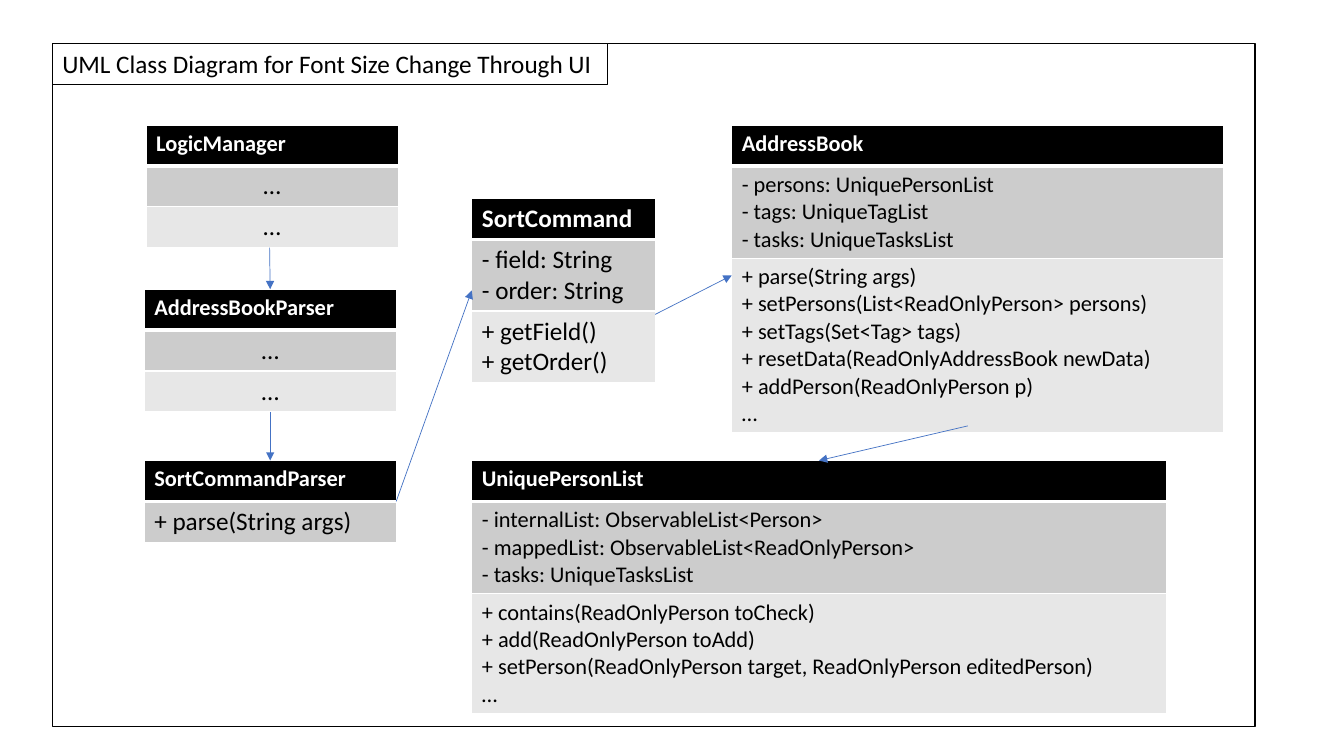
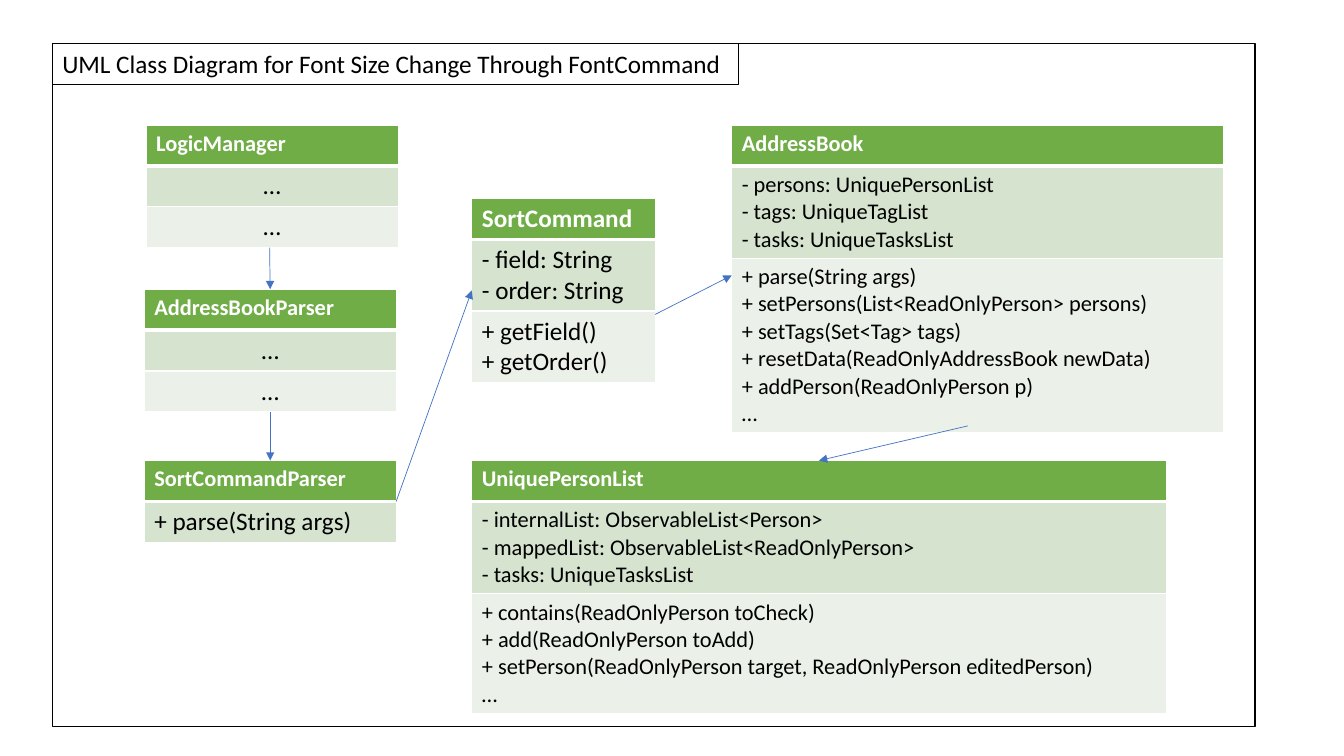
from collections import namedtuple

from lxml.etree import SubElement
from pptx import Presentation
from pptx.dml.color import RGBColor
from pptx.enum.shapes import MSO_CONNECTOR, MSO_SHAPE
from pptx.enum.text import MSO_AUTO_SIZE, PP_ALIGN
from pptx.oxml.ns import qn
from pptx.util import Pt

COLORS = {"white": "FFFFFF", "black": "000000", "arrow": "4472C4"}
GRAY = {"header": "000000", "fields": "CCCCCC", "methods": "E7E7E7"}
GREEN = {"header": "70AD47", "fields": "D5E3CF", "methods": "EBF1E9"}
FONT = "Calibri"
ROW_HEIGHT = 29.2
ELLIPSIS = ["…"]

Box = namedtuple("Box", "x y w h")
UmlClass = namedtuple("UmlClass", "x y w header_size body_size sections")
FRAME = Box(37.4, 31, 859, 488)

# Class positions are relative to the frame
CLASSES = {
    "SortCommand": UmlClass(299.6, 110.8, 131, 18, 18, [
        ["- field: String", "- order: String"],
        ["+ getField()", "+ getOrder()"]]),
    "SortCommandParser": UmlClass(65.6, 298, 180, 16, 18, [
        ["+ parse(String args)"]]),
    "AddressBook": UmlClass(485.3, 58.3, 351.4, 16, 16, [
        ["- persons: UniquePersonList", "- tags: UniqueTagList",
         "- tasks: UniqueTasksList"],
        ["+ parse(String args)", "+ setPersons(List<ReadOnlyPerson> persons)",
         "+ setTags(Set<Tag> tags)",
         "+ resetData(ReadOnlyAddressBook newData)",
         "+ addPerson(ReadOnlyPerson p)", "…"]]),
    "UniquePersonList": UmlClass(299.6, 298, 496, 16, 16, [
        ["- internalList: ObservableList<Person>",
         "- mappedList: ObservableList<ReadOnlyPerson>",
         "- tasks: UniqueTasksList"],
        ["+ contains(ReadOnlyPerson toCheck)", "+ add(ReadOnlyPerson toAdd)",
         "+ setPerson(ReadOnlyPerson target, ReadOnlyPerson editedPerson)",
         "…"]]),
    "AddressBookParser": UmlClass(65.6, 175.6, 180, 16, 18,
                                  [ELLIPSIS, ELLIPSIS]),
    "LogicManager": UmlClass(67, 58.3, 180, 16, 18, [ELLIPSIS, ELLIPSIS]),
}

# Each end: class, then the fraction across and down its box
ARROWS = [
    (("LogicManager", 0.49, 1), ("AddressBookParser", 0.5, 0)),
    (("AddressBookParser", 0.5, 1), ("SortCommandParser", 0.5, 0)),
    (("SortCommandParser", 1, 0.5), ("SortCommand", 0, 0.5)),
    (("SortCommand", 1, 0.63), ("AddressBook", 0, 0.49)),
    (("AddressBook", 0.48, 0.98), ("UniquePersonList", 0.5, 0)),
]


def rgb(color):
    return RGBColor.from_string(color)


def add_text(p, text, size, color, bold=False):
    r = p.add_run()
    r.text = text
    r.font.name = FONT
    r.font.size = Pt(size)
    r.font.bold = bold
    r.font.color.rgb = rgb(color)


def style_box(sp):
    sp.fill.solid()
    sp.fill.fore_color.rgb = rgb(COLORS["white"])
    sp.line.color.rgb = rgb(COLORS["black"])
    sp.line.width = Pt(1)


def add_borders(cell, top, bottom):
    tc_pr = cell._tc.get_or_add_tcPr()
    for side, width in zip("LRTB", (1, 1, top, bottom)):
        ln = SubElement(tc_pr, qn(f"a:ln{side}"), w=str(Pt(width)))
        fill = SubElement(ln, qn("a:solidFill"))
        SubElement(fill, qn("a:srgbClr"), val=COLORS["white"])


def add_frame(s, box):
    sp = s.shapes.add_shape(MSO_SHAPE.RECTANGLE, *map(Pt, box))
    sp.shadow.inherit = False
    style_box(sp)


def add_title(s, box, title, width):
    sp = s.shapes.add_textbox(Pt(box.x), Pt(box.y), Pt(width), Pt(ROW_HEIGHT))
    style_box(sp)
    tf = sp.text_frame
    tf.word_wrap = False
    tf.auto_size = MSO_AUTO_SIZE.SHAPE_TO_FIT_TEXT
    add_text(tf.paragraphs[0], title, 18, COLORS["black"])


def add_class(s, frame, name, uml, theme):
    """Draw one class table and return the box it fills."""
    rows = [[name], *uml.sections]
    sizes = [uml.header_size] + [uml.body_size] * len(uml.sections)
    heights = [max(ROW_HEIGHT, len(lines) * size * 1.22 + 7.2)
               for lines, size in zip(rows, sizes)]
    box = Box(frame.x + uml.x, frame.y + uml.y, uml.w, sum(heights))
    table = s.shapes.add_table(len(rows), 1, *map(Pt, box)).table
    table.first_row = table.horz_banding = False

    for i, (lines, size, fill) in enumerate(zip(rows, sizes, theme.values())):
        table.rows[i].height = Pt(heights[i])
        cell = table.cell(i, 0)
        add_borders(cell, 3 if i == 1 else 1, 3 if i == 0 else 1)
        cell.fill.solid()
        cell.fill.fore_color.rgb = rgb(fill)
        tf = cell.text_frame
        for j, line in enumerate(lines):
            p = tf.add_paragraph() if j else tf.paragraphs[0]
            p.alignment = (PP_ALIGN.CENTER if lines == ELLIPSIS
                           else PP_ALIGN.JUSTIFY)
            add_text(p, line, size, COLORS["black" if i else "white"], i == 0)
    return box


def add_arrow(s, boxes, start, end):
    points = []
    for name, across, down in (start, end):
        box = boxes[name]
        points += [Pt(box.x + across * box.w), Pt(box.y + down * box.h)]
    line = s.shapes.add_connector(MSO_CONNECTOR.STRAIGHT, *points)
    line.line.color.rgb = rgb(COLORS["arrow"])
    line.line.width = Pt(0.5)
    SubElement(line.line._get_or_add_ln(), qn("a:tailEnd"), type="triangle")
    SubElement(line._element.spPr, qn("a:effectLst"))


def add_diagram_slide(prs, title, title_width, theme):
    s = prs.slides.add_slide(prs.slide_layouts[6])
    add_frame(s, FRAME)
    # Classes and the arrows between them
    boxes = {name: add_class(s, FRAME, name, uml, theme)
             for name, uml in CLASSES.items()}
    for start, end in ARROWS:
        add_arrow(s, boxes, start, end)
    add_title(s, FRAME, title, title_width)


prs = Presentation()
prs.slide_width, prs.slide_height = Pt(960), Pt(540)
add_diagram_slide(
    prs, "UML Class Diagram for Font Size Change Through UI", 396.7, GRAY)
add_diagram_slide(
    prs, "UML Class Diagram for Font Size Change Through FontCommand", 490.3,
    GREEN)
prs.save("out.pptx")
